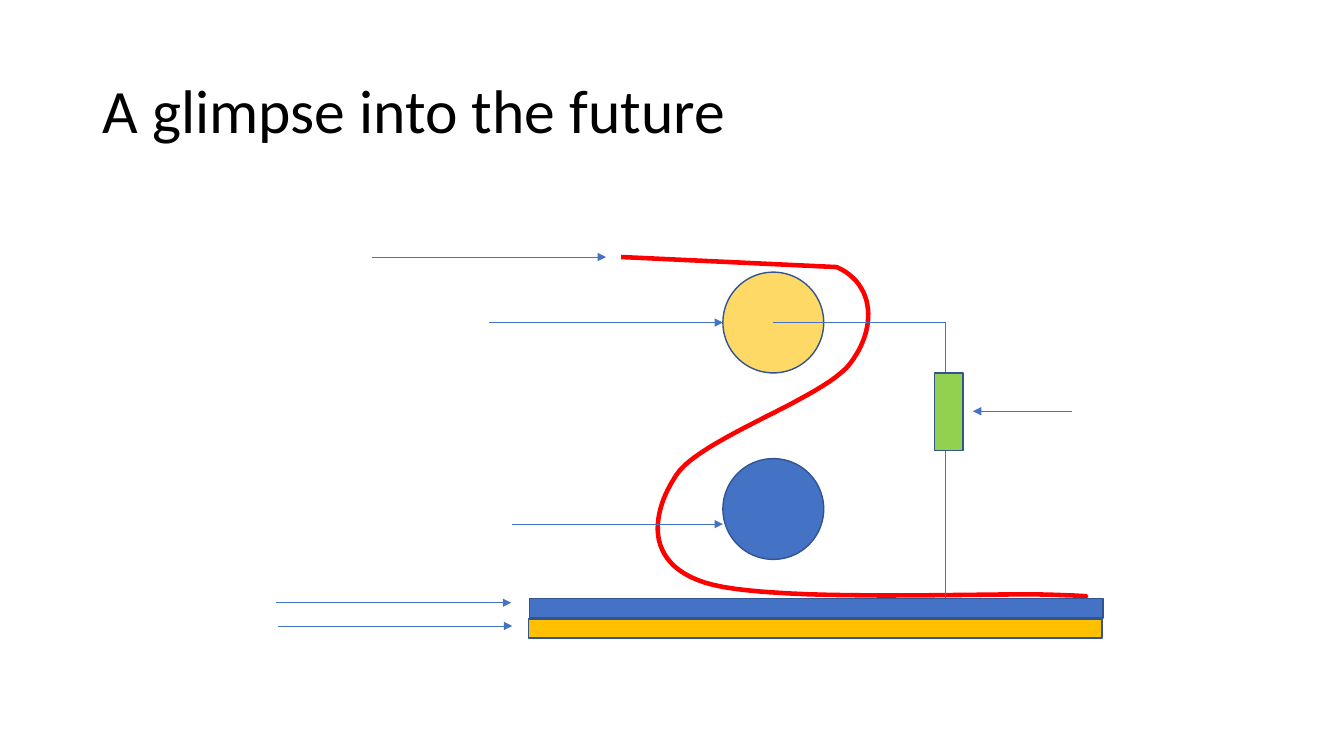
from dataclasses import dataclass

from lxml import etree
from pptx import Presentation
from pptx.dml.color import RGBColor
from pptx.enum.shapes import MSO_CONNECTOR, MSO_SHAPE
from pptx.enum.text import MSO_ANCHOR, MSO_AUTO_SIZE, PP_ALIGN
from pptx.oxml.ns import qn
from pptx.util import Inches, Pt

OVAL, RECTANGLE = MSO_SHAPE.OVAL, MSO_SHAPE.RECTANGLE
STRAIGHT, ELBOW = MSO_CONNECTOR.STRAIGHT, MSO_CONNECTOR.ELBOW
MIDDLE, LEFT, NO_FIT = MSO_ANCHOR.MIDDLE, PP_ALIGN.LEFT, MSO_AUTO_SIZE.NONE
TITLE_ONLY = 5
CURVE_STEPS = 24
UNITS_PER_INCH = 1000


@dataclass(frozen=True)
class Theme:
    font: str = "Calibri"
    title_size: float = 44
    text: str = "000000"
    blue: str = "4472C4"
    outline: str = "325491"
    yellow: str = "FFD966"
    amber: str = "FFC000"
    green: str = "92D050"
    red: str = "FF0000"
    outline_width: float = 1
    wire_width: float = 0.5
    web_width: float = 3.25


def write_text(frame, text, *, font, size, color, align=LEFT, spacing=1.0):
    para = frame.paragraphs[0]
    para.alignment = align
    para.line_spacing = spacing
    span = para.add_run()
    span.text = text
    span.font.name = font
    span.font.size = Pt(size)
    span.font.color.rgb = RGBColor.from_string(color)


def set_line(line, color, width):
    line.color.rgb = RGBColor.from_string(color)
    line.width = Pt(width)


def bezier_points(start, first, second, end):
    """Return evenly stepped points on a cubic curve, without its start."""
    points = []
    for step in range(1, CURVE_STEPS + 1):
        t = step / CURVE_STEPS
        weights = ((1 - t) ** 3, 3 * t * (1 - t) ** 2, 3 * t * t * (1 - t), t ** 3)
        points.append(tuple(
            sum(weight * value for weight, value in zip(weights, axis))
            for axis in zip(start, first, second, end)
        ))
    return points


class DiagramSlide:
    """Draws diagram elements on one slide in the given theme."""

    def __init__(self, deck, theme):
        self.theme = theme
        self.page = deck.slides.add_slide(deck.slide_layouts[TITLE_ONLY])
        self.shapes = self.page.shapes

    def title(self, text, left, top, width, height):
        box = self.shapes.title
        box.left, box.top = Inches(left), Inches(top)
        box.width, box.height = Inches(width), Inches(height)
        frame = box.text_frame
        frame.vertical_anchor = MIDDLE
        frame.auto_size = NO_FIT
        frame.word_wrap = True
        write_text(frame, text, font=self.theme.font, size=self.theme.title_size,
                   color=self.theme.text, spacing=0.9)

    def shape(self, kind, left, top, width, height, fill):
        shape = self.shapes.add_shape(
            kind, Inches(left), Inches(top), Inches(width), Inches(height))
        shape.shadow.inherit = False
        shape.fill.solid()
        shape.fill.fore_color.rgb = RGBColor.from_string(fill)
        set_line(shape.line, self.theme.outline, self.theme.outline_width)

    def curve(self, points, color, width):
        start, *rest = [(x * UNITS_PER_INCH, y * UNITS_PER_INCH) for x, y in points]
        builder = self.shapes.build_freeform(
            *start, scale=Inches(1) / UNITS_PER_INCH)
        builder.add_line_segments(rest, close=False)
        outline = builder.convert_to_shape()
        outline.shadow.inherit = False
        outline.fill.background()
        set_line(outline.line, color, width)

    def wire(self, start, end, kind=STRAIGHT, arrow=False):
        wire = self.shapes.add_connector(
            kind, *(Inches(value) for value in (*start, *end)))
        set_line(wire.line, self.theme.blue, self.theme.wire_width)
        properties = wire._element.spPr
        etree.SubElement(properties, qn("a:effectLst"))
        if arrow:
            etree.SubElement(properties.find(qn("a:ln")), qn("a:tailEnd"),
                             type="triangle")


def main():
    deck = Presentation()
    deck.slide_width, deck.slide_height = Inches(13.33), Inches(7.5)
    theme = Theme()
    slide = DiagramSlide(deck, theme)
    slide.title("A glimpse into the future", 0.92, 0.4, 11.5, 1.45)

    for roller_top, color in ((2.7, theme.yellow), (4.55, theme.blue)):
        slide.shape(OVAL, 7.17, roller_top, 1, 1, color)

    web = [(6.16, 2.55), (8.3, 2.65)]
    bends = (
        ((8.68, 2.82), (8.7, 3.26), (8.43, 3.61)),
        ((8.17, 3.95), (6.95, 4.35), (6.71, 4.71)),
        ((6.47, 5.07), (6.37, 5.58), (6.99, 5.78)),
        ((7.61, 5.98), (9.8, 5.88), (10.41, 5.9)),
        ((11.03, 5.92), (10.67, 5.92), (10.67, 5.92)),
    )
    for bend in bends:
        web += bezier_points(web[-1], *bend)
    slide.curve(web, theme.red, theme.web_width)

    circuit_x = 9.38
    slide.wire((7.67, 3.2), (circuit_x, 3.2))
    slide.wire((circuit_x, 3.7), (circuit_x, 3.2))
    slide.wire((circuit_x, 6.17), (circuit_x, 4.23))
    slide.wire((circuit_x, 3.7), (9.39, 3.7), kind=ELBOW)
    slide.shape(RECTANGLE, 9.27, 3.7, 0.28, 0.77, theme.green)

    slide.shape(RECTANGLE, 5.24, 6.14, 5.69, 0.19, theme.amber)
    pointers = (
        (5.08, 7.17, 5.2),
        (4.85, 7.17, 3.2),
        (2.76, 5.08, 6.21),
        (2.74, 5.07, 5.98),
        (3.69, 6.01, 2.55),
        (10.63, 9.65, 4.08),
    )
    for tail_x, tip_x, y in pointers:
        slide.wire((tail_x, y), (tip_x, y), arrow=True)
    slide.shape(RECTANGLE, 5.25, 5.94, 5.69, 0.19, theme.blue)

    deck.save("out.pptx")


if __name__ == "__main__":
    main()
